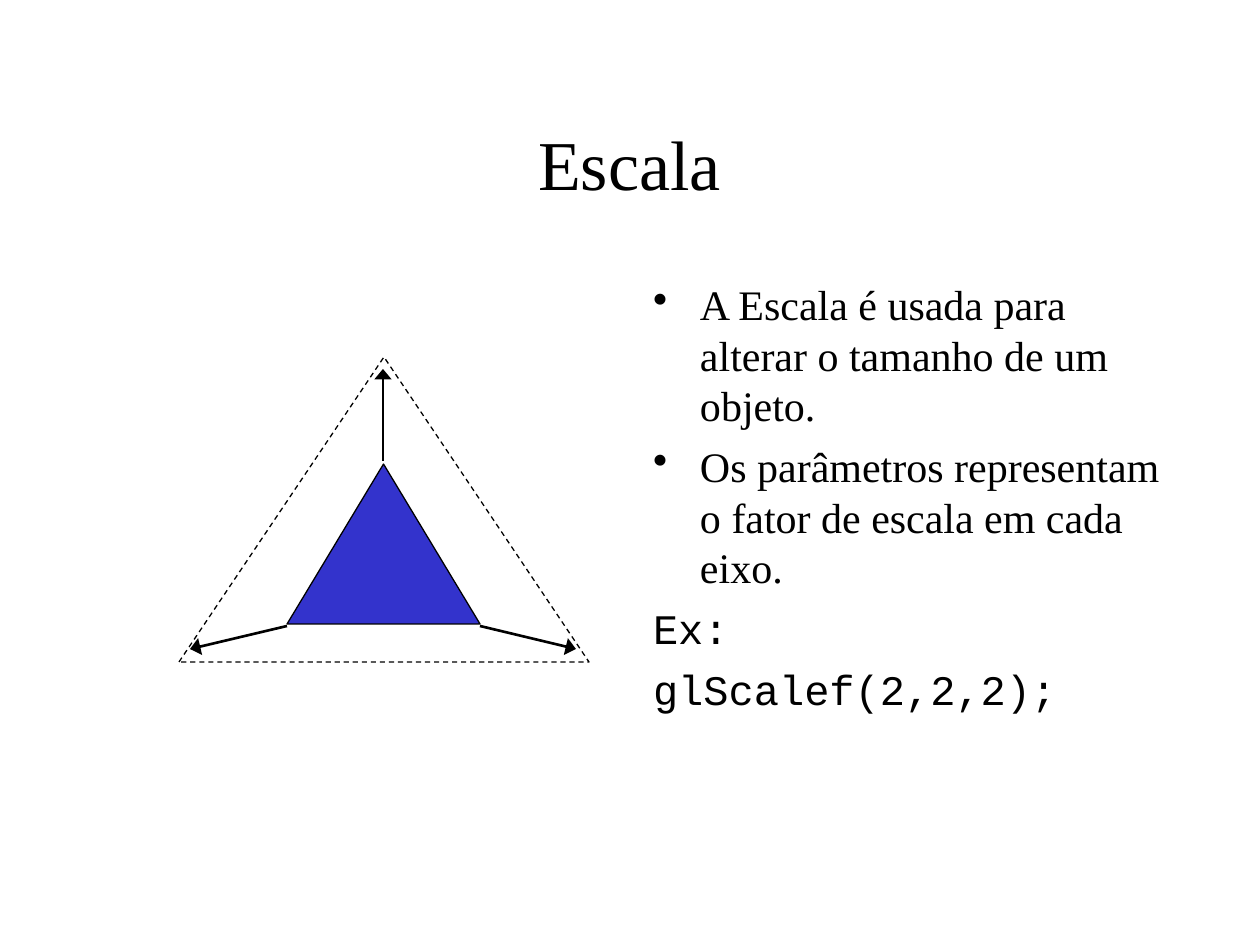
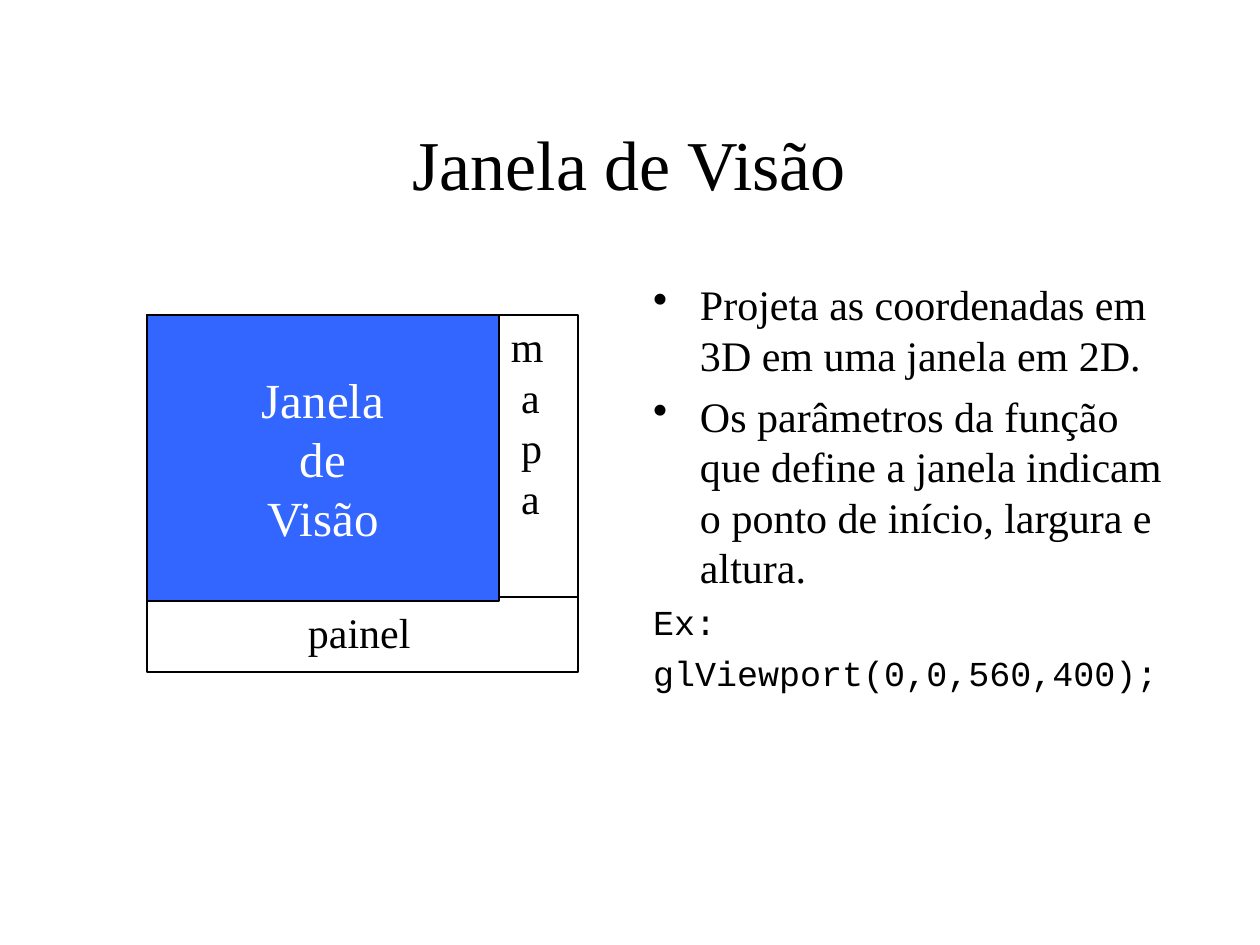
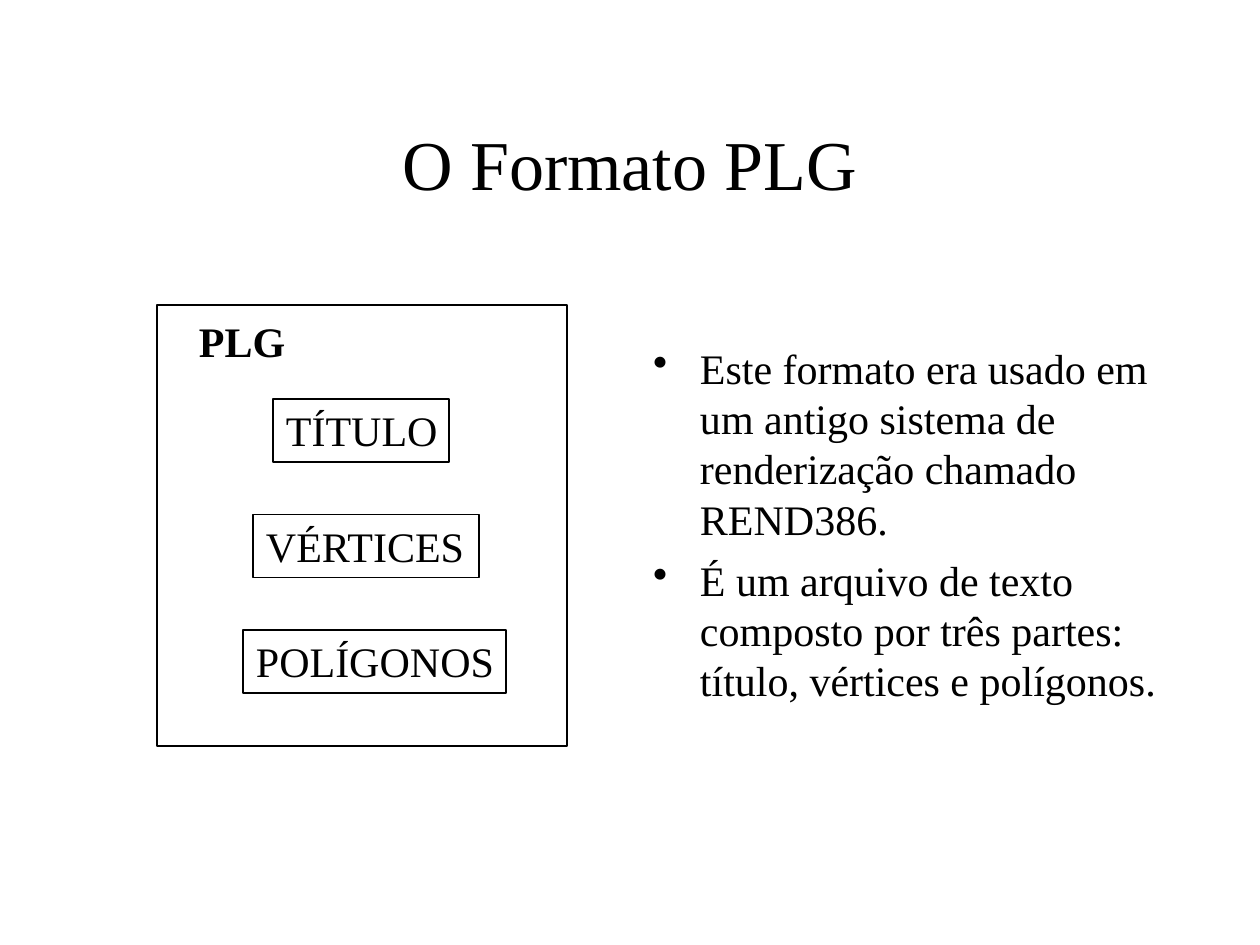
from lxml.etree import SubElement
from pptx import Presentation
from pptx.dml.color import RGBColor
from pptx.enum.dml import MSO_LINE
from pptx.enum.shapes import MSO_CONNECTOR, MSO_SHAPE
from pptx.enum.text import MSO_ANCHOR, PP_ALIGN
from pptx.oxml.ns import qn
from pptx.util import Pt

SERIF, MONO = "Times New Roman", "Courier New"
BLACK = RGBColor(0x00, 0x00, 0x00)
WHITE = RGBColor(0xFF, 0xFF, 0xFF)
INDIGO = RGBColor(0x33, 0x33, 0xCC)
BLUE = RGBColor(0x33, 0x66, 0xFF)
EMU_PER_PX = 914400 / 126
LINE_HEIGHT = 1.2
INSET_X, INSET_Y = 13, 6
HANGING = 47
LETTER_INDENT = 10

TITLE_AREA = (94, 84, 1071, 158)

SCALE = {
    "title": "Escala",
    "area": (640, 273, 546, 567),
    "bullets": ["A Escala é usada para alterar o tamanho de um objeto.",
                "Os parâmetros representam o fator de escala em cada eixo."],
    "code": ["Ex:", "glScalef(2,2,2);"],
    "code_size": 24,
}
VIEWPORT = {
    "title": "Janela de Visão",
    "area": (640, 273, 535, 567),
    "bullets": ["Projeta as coordenadas em 3D em uma janela em 2D.",
                "Os parâmetros da função que define a janela indicam o ponto "
                "de início, largura e altura."],
    "code": ["Ex:", "glViewport(0,0,560,400);"],
    "code_size": 20,
}
FORMAT = {
    "title": "O Formato PLG",
    "area": (640, 336, 546, 399),
    "bullets": ["Este formato era usado em um antigo sistema de renderização "
                "chamado REND386.",
                "É um arquivo de texto composto por três partes: título, "
                "vértices e polígonos."],
    "code": [],
    "code_size": 24,
}

SCALED_TRIANGLE = (179, 357, 410, 305)
TRIANGLE = (287, 464, 193, 160)
GROWTH_ARROWS = [((383, 461), (383, 369)),
                 ((287, 626), (190, 649)),
                 ((480, 626), (576, 649))]

SCREEN = (147, 315, 431, 357)
VIEW = (147, 315, 352, 286)
DIVIDERS = [((147, 597), (578, 597)), ((499, 597), (499, 315))]
PANEL_LABEL = (295, 601, 127, 63)
MAP_LABEL = (498, 315, 58, 214)

FILE_FRAME = (157, 305, 410, 441)
FILE_LABEL = (186, 310, 111, 63)
FILE_PARTS = [("TÍTULO", 273, 176), ("VÉRTICES", 253, 226), ("POLÍGONOS", 243, 263)]
PARTS_TOP, PARTS_STEP, PART_HEIGHT = 399, 115.5, 63


def px(length):
    return round(length * EMU_PER_PX)


def place(area):
    return [px(length) for length in area]


def prepare(shape, wrap=False, anchor=MSO_ANCHOR.TOP, right=INSET_X):
    frame = shape.text_frame
    frame.word_wrap = wrap
    frame.vertical_anchor = anchor
    frame.margin_left, frame.margin_right = px(INSET_X), px(right)
    frame.margin_top = frame.margin_bottom = px(INSET_Y)
    return frame


def write(frame, index, text, size=24, font=SERIF, color=BLACK, bold=False,
          align=PP_ALIGN.LEFT, before=0, left=0, first=0, bullet=None):
    para = frame.paragraphs[0] if index == 0 else frame.add_paragraph()
    properties = para._p.get_or_add_pPr()
    properties.set("marL", str(px(left)))
    properties.set("indent", str(px(first)))
    if bullet:
        SubElement(properties, qn("a:buChar")).set("char", bullet)
    para.alignment = align
    para.line_spacing = Pt(size * LINE_HEIGHT)
    para.space_before = Pt(before if index else 0)
    span = para.add_run()
    span.text = text
    span.font.name = font
    span.font.size = Pt(size)
    span.font.bold = bold
    span.font.color.rgb = color


def add_label(page, area, text, bold=False):
    box = page.shapes.add_textbox(*place(area))
    write(prepare(box, right=0), 0, text, bold=bold)


def add_outline(page, kind, area, fill=None, dash=None):
    shape = page.shapes.add_shape(kind, *place(area))
    shape.shadow.inherit = False
    if fill is None:
        shape.fill.background()
    else:
        shape.fill.solid()
        shape.fill.fore_color.rgb = fill
    shape.line.color.rgb = BLACK
    shape.line.width = Pt(0.75)
    if dash:
        shape.line.dash_style = dash
    return shape


def add_line(page, start, end, width=0.75, arrow=False):
    line = page.shapes.add_connector(MSO_CONNECTOR.STRAIGHT, *place(start + end))
    line.line.color.rgb = BLACK
    line.line.width = Pt(width)
    if arrow:
        head = SubElement(line.line._get_or_add_ln(), qn("a:tailEnd"))
        head.set("type", "triangle")
        head.set("w", "lg")
    SubElement(line._element.spPr, qn("a:effectLst"))


def add_page(deck, content):
    page = deck.slides.add_slide(deck.slide_layouts[5])
    title = page.shapes.title
    title.left, title.top, title.width, title.height = place(TITLE_AREA)
    write(prepare(title, True, MSO_ANCHOR.MIDDLE), 0, content["title"], 40,
          align=PP_ALIGN.CENTER)

    frame = prepare(page.shapes.add_textbox(*place(content["area"])), True)
    bullets, size = content["bullets"], content["code_size"]
    for index, text in enumerate(bullets):
        write(frame, index, text, before=6, left=HANGING, first=-HANGING, bullet="•")
    for index, text in enumerate(content["code"], len(bullets)):
        write(frame, index, text, size, MONO, before=size / 4,
              left=HANGING, first=-HANGING)
    return page


def draw_scale(page):
    add_outline(page, MSO_SHAPE.ISOSCELES_TRIANGLE, SCALED_TRIANGLE, dash=MSO_LINE.DASH)
    add_outline(page, MSO_SHAPE.ISOSCELES_TRIANGLE, TRIANGLE, INDIGO)
    for start, end in GROWTH_ARROWS:
        add_line(page, start, end, 1.5, arrow=True)


def draw_viewport(page):
    add_outline(page, MSO_SHAPE.RECTANGLE, SCREEN)
    for start, end in DIVIDERS:
        add_line(page, start, end)
    add_label(page, PANEL_LABEL, "painel")
    letters = prepare(page.shapes.add_textbox(*place(MAP_LABEL)), right=0)
    for index, letter in enumerate("mapa"):
        write(letters, index, letter, left=LETTER_INDENT if index else 0)
    view = prepare(add_outline(page, MSO_SHAPE.RECTANGLE, VIEW, BLUE),
                   anchor=MSO_ANCHOR.MIDDLE)
    for index, word in enumerate(["Janela", "de", "Visão"]):
        write(view, index, word, 28, color=WHITE, align=PP_ALIGN.CENTER)


def draw_format(page):
    add_outline(page, MSO_SHAPE.RECTANGLE, FILE_FRAME)
    add_label(page, FILE_LABEL, "PLG", bold=True)
    for index, (name, left, width) in enumerate(FILE_PARTS):
        area = (left, PARTS_TOP + index * PARTS_STEP, width, PART_HEIGHT)
        part = add_outline(page, MSO_SHAPE.RECTANGLE, area)
        write(prepare(part, right=0), 0, name)


def main():
    deck = Presentation()
    deck.slide_width, deck.slide_height = px(1260), px(945)
    for content, draw in [(SCALE, draw_scale), (VIEWPORT, draw_viewport),
                          (FORMAT, draw_format)]:
        draw(add_page(deck, content))
    deck.save("out.pptx")


if __name__ == "__main__":
    main()
